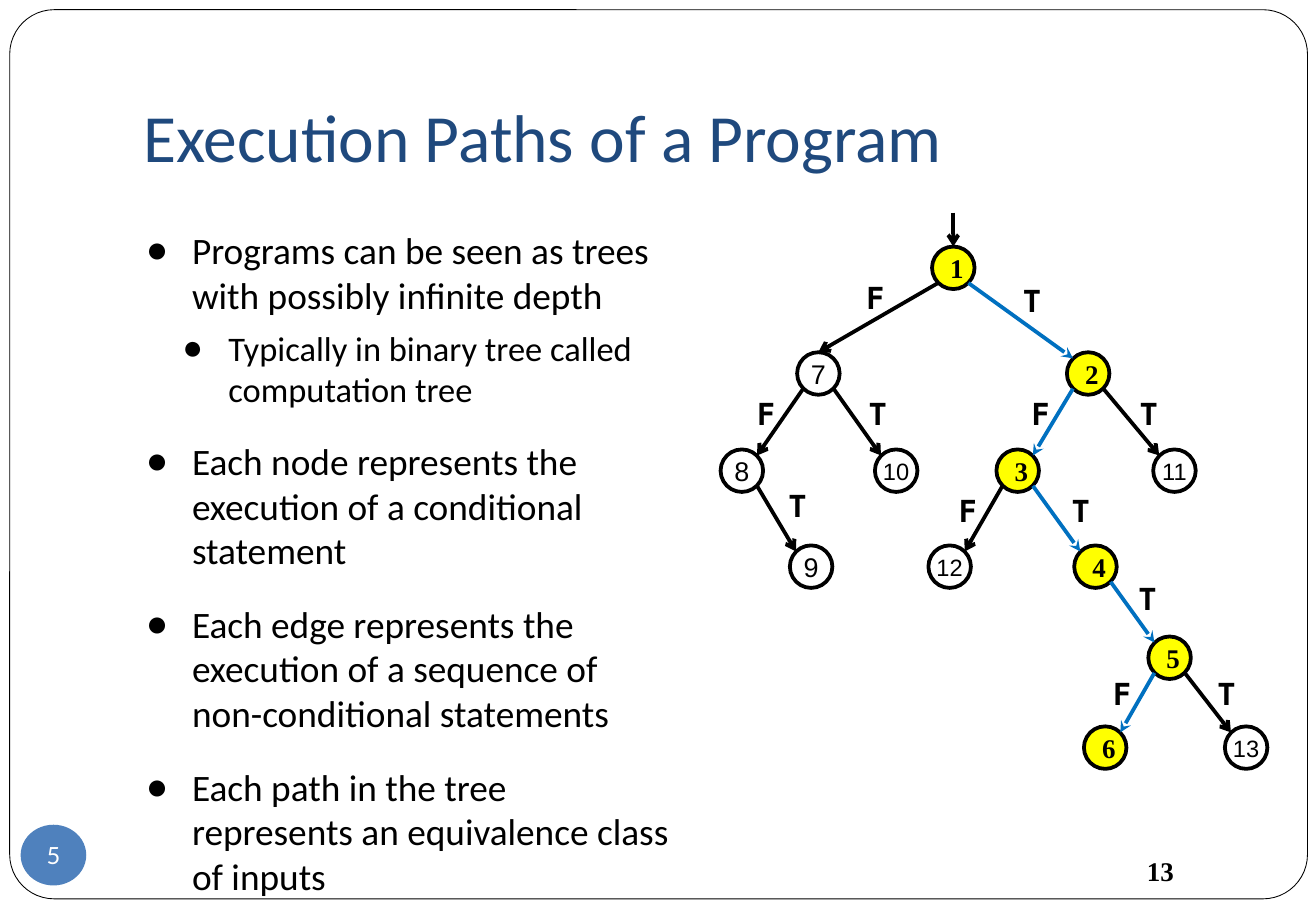
from dataclasses import dataclass

from lxml import etree
from pptx import Presentation
from pptx.dml.color import RGBColor
from pptx.enum.shapes import MSO_CONNECTOR, MSO_SHAPE
from pptx.enum.text import MSO_ANCHOR, MSO_AUTO_SIZE, PP_ALIGN
from pptx.oxml.ns import qn
from pptx.util import Emu, Pt

PX = 9144
STRAIGHT = MSO_CONNECTOR.STRAIGHT
OVAL, ROUNDED = MSO_SHAPE.OVAL, MSO_SHAPE.ROUNDED_RECTANGLE
TOP, MIDDLE, BOTTOM = MSO_ANCHOR.TOP, MSO_ANCHOR.MIDDLE, MSO_ANCHOR.BOTTOM
LEFT, CENTER = PP_ALIGN.LEFT, PP_ALIGN.CENTER
NO_AUTOFIT = MSO_AUTO_SIZE.NONE


@dataclass(frozen=True)
class Theme:
    black: str = "000000"
    white: str = "FFFFFF"
    title: str = "1F497D"
    visited: str = "FFFF00"
    path_line: str = "0070C0"
    badge: str = "4F81BD"
    title_size: float = 40
    body_sizes: tuple = (22.1, 20.4)
    label_size: float = 18
    node_size: float = 16
    small_size: float = 14
    tree_line: float = 2.25
    frame_line: float = 0.5


THEME = Theme()
NODE = 35
CORNER = 5
ENTRY = 28

BULLETS = [
    (0, 0, "Programs can be seen as trees with possibly infinite depth"),
    (1, 5.9, "Typically in binary tree called computation tree"),
    (0, 17, "Each node represents the execution of a conditional statement"),
    (0, 17, "Each edge represents the execution of a sequence of non-conditional statements"),
    (0, 17, "Each path in the tree represents an equivalence class of inputs"),
]
INDENTS = (44, 74)
HANGING = -38

NODES = {
    1: (174, 28), 2: (285, 115), 3: (227, 195), 4: (291, 274), 5: (352, 349),
    6: (299, 423), 7: (63, 115), 8: (0, 195), 9: (57, 274), 10: (127, 195),
    11: (356, 195), 12: (171, 274), 13: (415, 423),
}
EDGES = {
    (1, 7): (110, 45), (1, 2): (239, 47), (7, 8): (20, 140), (7, 10): (112, 140),
    (2, 3): (246, 140), (2, 11): (335, 140), (8, 9): (46, 216), (3, 12): (186, 220),
    (3, 4): (279, 220), (4, 5): (334, 293), (5, 6): (313, 371), (5, 13): (399, 371),
}
VISITED = range(1, 7)
ENTERED_AT_TOP = {7}


def px(value):
    return Emu(round(value * PX))


def color(value):
    return RGBColor.from_string(value)


def apply(target, formats):
    for name, value in formats.items():
        setattr(target, name, value)


def place(shape, box):
    apply(shape, dict(zip(("left", "top", "width", "height"), map(px, box))))


def write(paragraph, text, font, size, ink, bold=False):
    run = paragraph.add_run()
    run.text = text
    apply(run.font, {"name": font, "size": Pt(size), "bold": bold})
    run.font.color.rgb = color(ink)


def set_frame(shape, insets, anchor, wrap=True):
    names = ("margin_left", "margin_top", "margin_right", "margin_bottom")
    frame = shape.text_frame
    apply(frame, dict(zip(names, map(px, insets))))
    apply(frame, {"vertical_anchor": anchor, "word_wrap": wrap, "auto_size": NO_AUTOFIT})
    return frame


def add_preset(slide, kind, box, fill=None, line_width=None):
    shape = slide.shapes.add_shape(kind, *map(px, box))
    shape.shadow.inherit = False
    if fill:
        shape.fill.solid()
        shape.fill.fore_color.rgb = color(fill)
    else:
        shape.fill.background()
    if line_width:
        shape.line.color.rgb = color(THEME.black)
        shape.line.width = Pt(line_width)
    else:
        shape.line.fill.background()
    return shape


def add_arrow(slide, start, end, ink, head):
    connector = slide.shapes.add_connector(STRAIGHT, *map(px, (*start, *end)))
    connector.line.color.rgb = color(ink)
    connector.line.width = Pt(THEME.tree_line)
    properties = connector.element.spPr
    etree.SubElement(properties.find(qn("a:ln")), qn("a:tailEnd"), type=head)
    etree.SubElement(properties, qn("a:effectLst"))


def add_label(slide, box, text, font, size, anchor=TOP):
    label = slide.shapes.add_textbox(*map(px, box))
    frame = set_frame(label, (10, 10, 10, 10), anchor)
    write(frame.paragraphs[0], text, font, size, THEME.black, True)


def add_title(slide, box):
    title = slide.shapes.title
    place(title, box)
    paragraph = set_frame(title, (10, 5, 10, 10), BOTTOM).paragraphs[0]
    paragraph.alignment = LEFT
    write(paragraph, "Execution Paths of a Program", "Calibri", THEME.title_size, THEME.title)


def add_bullet(paragraph, level):
    properties = paragraph._p.get_or_add_pPr()
    properties.set("marL", str(px(INDENTS[level])))
    properties.set("indent", str(px(HANGING)))
    bullet_color = etree.SubElement(properties, qn("a:buClr"))
    etree.SubElement(bullet_color, qn("a:srgbClr"), val=THEME.black)
    etree.SubElement(properties, qn("a:buFont"), typeface="Arial")
    etree.SubElement(properties, qn("a:buChar"), char="●")


def add_body(slide, box):
    body = slide.placeholders[1]
    place(body, box)
    frame = set_frame(body, (10, 5, 10, 5), TOP)
    for index, (level, space, text) in enumerate(BULLETS):
        paragraph = frame.add_paragraph() if index else frame.paragraphs[0]
        apply(paragraph, {"level": level, "space_before": Pt(space), "alignment": LEFT})
        add_bullet(paragraph, level)
        write(paragraph, text, "Calibri", THEME.body_sizes[level], THEME.black)


def add_node(slide, number, left, top):
    visited = number in VISITED
    fill = THEME.visited if visited else THEME.white
    shape = add_preset(slide, OVAL, (left, top, NODE, NODE), fill, THEME.tree_line)
    side = 10 if visited else 0
    paragraph = set_frame(shape, (side, 10, side, 10), MIDDLE).paragraphs[0]
    paragraph.alignment = CENTER
    font = "Times New Roman" if visited else "Arial"
    size = THEME.node_size if number < 10 else THEME.small_size
    write(paragraph, str(number), font, size, THEME.black, visited)


def add_tree(slide, left, top):
    spots = {number: (left + x, top + y) for number, (x, y) in NODES.items()}
    for number, spot in spots.items():
        add_node(slide, number, *spot)
    root_x, root_y = spots[1]
    middle = NODE / 2
    add_arrow(slide, (root_x + middle, root_y - ENTRY), (root_x + middle, root_y),
              THEME.black, "arrow")
    for (parent, child), (label_x, label_y) in EDGES.items():
        (parent_x, parent_y), (child_x, child_y) = spots[parent], spots[child]
        is_false = child_x < parent_x
        near, far = (CORNER, NODE - CORNER) if is_false else (NODE - CORNER, CORNER)
        landing = (middle, 0) if child in ENTERED_AT_TOP else (far, CORNER)
        ink, head = (THEME.path_line, "stealth") if child in VISITED else (THEME.black, "arrow")
        add_arrow(slide, (parent_x + near, parent_y + NODE - CORNER),
                  (child_x + landing[0], child_y + landing[1]), ink, head)
        add_label(slide, (left + label_x, top + label_y, 31, 35),
                  "F" if is_false else "T", "DejaVu Sans Mono", THEME.label_size)


def add_badge(slide, box):
    badge = add_preset(slide, OVAL, box, THEME.badge)
    paragraph = set_frame(badge, (0, 0, 0, 0), MIDDLE, False).paragraphs[0]
    paragraph.alignment = CENTER
    write(paragraph, "5", "Lato", THEME.small_size, THEME.white)


def main():
    presentation = Presentation()
    apply(presentation, {"slide_width": px(1083), "slide_height": px(750)})
    slide = presentation.slides.add_slide(presentation.slide_layouts[1])
    border = add_preset(slide, ROUNDED, (8, 8, 1068, 732), line_width=THEME.frame_line)
    border.adjustments[0] = 0.05
    add_title(slide, (108, 30, 921, 125))
    add_body(slide, (104, 182, 460, 500))
    add_tree(slide, 593, 175)
    add_label(slide, (934, 691, 57, 51), "13", "Times New Roman", THEME.node_size, MIDDLE)
    add_badge(slide, (17, 679, 54, 50))
    presentation.save("out.pptx")


if __name__ == "__main__":
    main()
